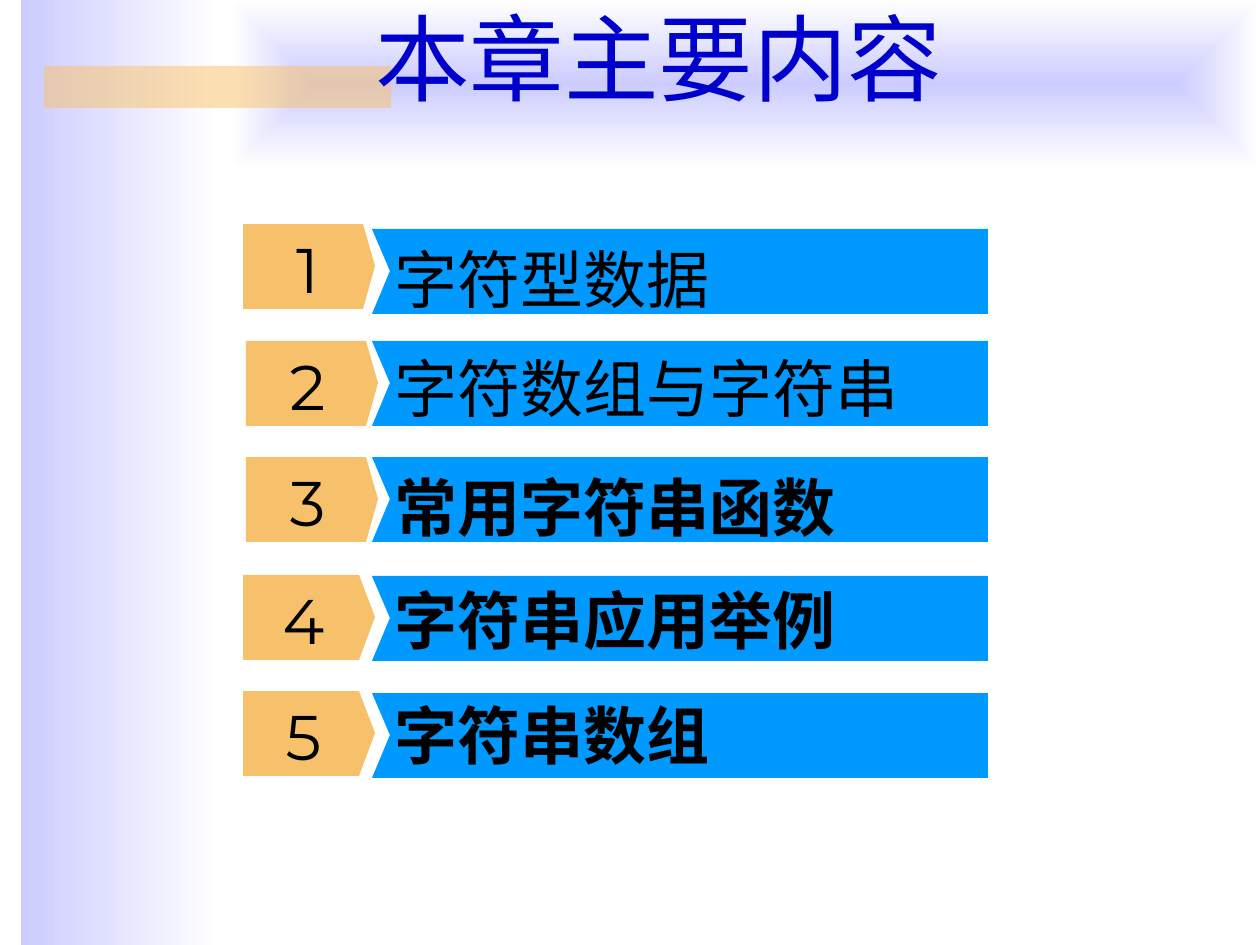
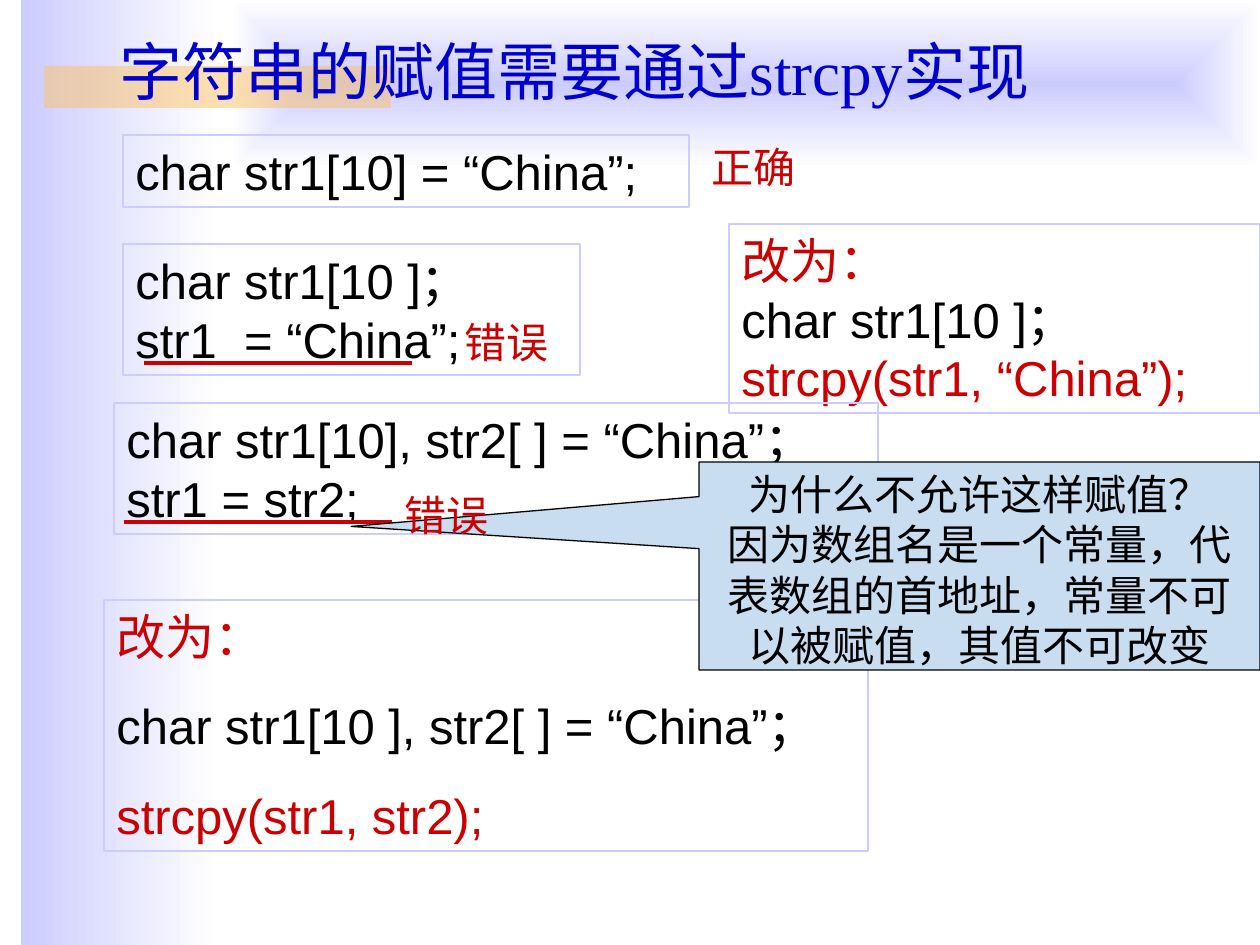
from collections import namedtuple
from dataclasses import dataclass

import pptx
import pptx.dml.color
import pptx.enum.shapes
import pptx.enum.text
import pptx.oxml
import pptx.oxml.ns
import pptx.util
from lxml import etree

EMU_PER_PX = 914400 / 126
ANCHOR = pptx.enum.text.MSO_ANCHOR
ALIGN = pptx.enum.text.PP_ALIGN
AUTO_SIZE = pptx.enum.text.MSO_AUTO_SIZE
SHAPE = pptx.enum.shapes.MSO_SHAPE
qn = pptx.oxml.ns.qn


@dataclass(frozen=True)
class Theme:
    lavender: str = "CCCCFF"
    white: str = "FFFFFF"
    accent: str = "FAC164"
    title: str = "0000CC"
    bar: str = "0099FF"
    badge: str = "F6C16A"
    ink: str = "000000"
    red: str = "CC0000"
    callout: str = "C9DDF1"
    chapter_size: int = 54
    heading_size: int = 36
    code_size: int = 28
    note_size: int = 24
    serif: str = "Times New Roman"
    sans: str = "Arial"
    digits: str = "Montserrat"
    chinese: str = "Noto Sans CJK SC"


THEME = Theme()
Style = namedtuple("Style", "size font bold align space_before",
                   defaults=(False, ALIGN.LEFT, 0))
Topic = namedtuple("Topic", "label font bold badge_left badge_top shoulder "
                            "bar_top label_top label_height", defaults=(88,))

TOPICS = [
    Topic("字符型数据", THEME.serif, False, 243, 224, 120, 229, 234, 164),
    Topic("字符数组与字符串", THEME.serif, False, 246, 341, 120, 341, 343),
    Topic("常用字符串函数", THEME.sans, True, 246, 457, 120, 457, 462),
    Topic("字符串应用举例", THEME.sans, True, 243, 575, 116, 576, 575),
    Topic("字符串数组", THEME.sans, True, 243, 691, 116, 693, 690),
]
ROW_HEIGHT = 85


def px(*lengths):
    return [pptx.util.Emu(round(length * EMU_PER_PX)) for length in lengths]


def rgb(color):
    return pptx.dml.color.RGBColor.from_string(color)


def make_plain(shape, fill=None, line=None):
    """Drop the theme look of a shape and give it its own fill and line."""
    shape.shadow.inherit = False
    style = shape.element.find(qn("p:style"))
    if style is not None:
        shape.element.remove(style)
    if fill:
        shape.fill.solid()
        shape.fill.fore_color.rgb = rgb(fill)
    else:
        shape.fill.background()
    if line:
        shape.line.color.rgb = rgb(line)
        shape.line.width = pptx.util.Pt(0.75)
    else:
        shape.line.fill.background()
    return shape


def add_block(slide, box, fill=None, line=None, kind=SHAPE.RECTANGLE):
    return make_plain(slide.shapes.add_shape(kind, *px(*box)), fill, line)


def add_outline(slide, points, fill):
    builder = slide.shapes.build_freeform(*points[0], scale=EMU_PER_PX)
    builder.add_line_segments(points[1:], close=True)
    return make_plain(builder.convert_to_shape(), fill)


def write(shape, paragraphs, style, anchor=ANCHOR.TOP, auto_size=AUTO_SIZE.NONE):
    """Write paragraphs, each a list of (text, colour) runs."""
    frame = shape.text_frame
    frame.word_wrap = True
    frame.auto_size = auto_size
    frame.vertical_anchor = anchor
    for index, runs in enumerate(paragraphs):
        paragraph = frame.add_paragraph() if index else frame.paragraphs[0]
        paragraph.alignment = style.align
        paragraph.space_before = pptx.util.Pt(style.space_before if index else 0)
        font = paragraph.font
        font.size = pptx.util.Pt(style.size)
        font.bold = style.bold
        font.name = style.font
        base_color = runs[0][1]
        font.color.rgb = rgb(base_color)
        east_asian = etree.SubElement(font._rPr, qn("a:ea"))
        east_asian.set("typeface", THEME.chinese)
        for text, color in runs:
            run = paragraph.add_run()
            run.text = text
            if color != base_color:
                run.font.color.rgb = rgb(color)


def add_text(slide, box, text, color, style):
    shape = slide.shapes.add_textbox(*px(*box))
    write(shape, [[(text, color)]], style, auto_size=AUTO_SIZE.SHAPE_TO_FIT_TEXT)


def add_code_box(slide, box, paragraphs, space_before=0):
    style = Style(THEME.code_size, THEME.sans, space_before=space_before)
    write(add_block(slide, box, line=THEME.lavender), paragraphs, style,
          auto_size=AUTO_SIZE.SHAPE_TO_FIT_TEXT)


def add_verdict(slide, left, top, text):
    add_text(slide, (left, top, 149, 63), text, THEME.red,
             Style(THEME.note_size, THEME.sans))


def add_underline(slide, left, top):
    ends = px(left, top, left + 268, top)
    line = slide.shapes.add_connector(pptx.enum.shapes.MSO_CONNECTOR.STRAIGHT, *ends)
    line.line.color.rgb = rgb(THEME.red)
    line.line.width = pptx.util.Pt(2.25)
    etree.SubElement(line.element.spPr, qn("a:effectLst"))


def set_title(slide, box, text, style):
    title = slide.shapes.title
    title.left, title.top, title.width, title.height = px(*box)
    write(title, [[(text, THEME.title)]], style, ANCHOR.BOTTOM)


def fill_with_fade(shape):
    shape.fill.gradient()
    shape.fill.gradient_angle = 0
    for stop, color, position in zip(shape.fill.gradient_stops,
                                     (THEME.lavender, THEME.white), (0, 1)):
        stop.color.rgb = rgb(color)
        stop.position = position


def spread_from_centre(shape):
    gradient = shape.element.spPr.find(qn("a:gradFill"))
    gradient.remove(gradient.find(qn("a:lin")))
    radiation = etree.Element(qn("a:path"), path="rect")
    etree.SubElement(radiation, qn("a:fillToRect"),
                     {side: "50000" for side in "ltrb"})
    gradient.find(qn("a:gsLst")).addnext(radiation)


def add_bands_to_master(presentation, slide):
    """Draw the shared bands on a slide, then move them to the back of the master."""
    side = add_block(slide, (21, 0, 199, 945))
    fill_with_fade(side)
    top = add_block(slide, (231, 0, 1029, 168))
    fill_with_fade(top)
    spread_from_centre(top)
    accent = add_block(slide, (44, 66, 347, 42), THEME.accent)
    color = accent.element.spPr.find(qn("a:solidFill"))[0]
    etree.SubElement(color, qn("a:alpha"), val="50000")
    tree = presentation.slide_master.shapes.element
    for index, band in enumerate((side, top, accent)):
        tree.insert(2 + index, band.element)


def add_number(slide, box, number):
    shape = slide.shapes.add_textbox(*px(*box))
    frame = shape.text_frame
    frame.margin_left = frame.margin_right = 0
    frame.margin_top = frame.margin_bottom = 0
    write(shape, [[(str(number), THEME.ink)]],
          Style(THEME.heading_size, THEME.digits, align=ALIGN.CENTER), ANCHOR.MIDDLE)
    effects = etree.Element(qn("a:effectLst"))
    shadow = etree.SubElement(effects, qn("a:outerShdw"),
                              dist="17961", dir="2700000")
    etree.SubElement(shadow, qn("a:srgbClr"), val=THEME.white)
    frame.paragraphs[0].font._rPr.find(qn("a:latin")).addprevious(effects)


def add_topic(slide, number, topic):
    left, top = topic.badge_left, topic.badge_top
    bottom, tip = top + ROW_HEIGHT, left + 132
    add_outline(slide, [(left, top), (left + topic.shoulder, top),
                        (tip, top + ROW_HEIGHT // 2),
                        (left + topic.shoulder, bottom), (left, bottom)], THEME.badge)
    top, bottom = topic.bar_top, topic.bar_top + ROW_HEIGHT
    add_outline(slide, [(372, top), (390, top + ROW_HEIGHT // 2), (372, bottom),
                        (988, bottom), (988, top)], THEME.bar)
    number_width = 105 if topic.shoulder == 120 else 97
    add_number(slide, (255, topic.badge_top + 2, number_width, ROW_HEIGHT), number)
    add_text(slide, (382, topic.label_top, 594, topic.label_height), topic.label,
             THEME.ink, Style(THEME.heading_size, topic.font, topic.bold))


def build_contents(slide):
    set_title(slide, (155, 29, 1007, 91), "本章主要内容",
              Style(THEME.chapter_size, THEME.chinese, align=ALIGN.CENTER))
    for number, topic in enumerate(TOPICS, 1):
        add_topic(slide, number, topic)


def build_assignment(slide):
    ink, red = THEME.ink, THEME.red
    set_title(slide, (107, 35, 1134, 79), "字符串的赋值需要通过strcpy实现",
              Style(THEME.heading_size, THEME.serif))
    add_code_box(slide, (123, 135, 566, 72), [[("char str1[10] = “China”;", ink)]])
    add_verdict(slide, 699, 135, "正确")
    add_code_box(slide, (123, 244, 457, 131),
                 [[("char str1[10 ]；", ink)], [("str1  = “China”;", ink)]])
    add_verdict(slide, 452, 310, "错误")
    add_code_box(slide, (729, 224, 531, 189),
                 [[("改为：", red)],
                  [("char str1[10 ]；", ink), ("strcpy(str1, “China”);", red)]])
    add_code_box(slide, (114, 403, 764, 131),
                 [[("char str1[10], str2[ ] = “China”；", ink)],
                  [("str1 = str2;", ink)]])
    add_code_box(slide, (104, 600, 764, 251),
                 [[("改为：", red)],
                  [("char str1[10 ], str2[ ] = “China”；", ink)],
                  [("strcpy(str1, str2);", red)]], space_before=17.5)
    add_underline(slide, 144, 363)
    add_underline(slide, 124, 522)
    callout = add_block(slide, (699, 462, 561, 208), THEME.callout, ink,
                        SHAPE.RECTANGULAR_CALLOUT)
    callout.adjustments[0], callout.adjustments[1] = -1.12, -0.19
    write(callout, [[("为什么不允许这样赋值？", ink)],
                    [("因为数组名是一个常量，代表数组的首地址，常量不可以被赋值，其值不可改变", ink)]],
          Style(THEME.note_size, THEME.serif, align=ALIGN.CENTER))
    add_verdict(slide, 392, 483, "错误")


def main():
    presentation = pptx.Presentation()
    presentation.slide_width, presentation.slide_height = px(1260, 945)
    title_only = presentation.slide_layouts[5]
    contents, assignment = [presentation.slides.add_slide(title_only) for _ in range(2)]
    add_bands_to_master(presentation, contents)
    build_contents(contents)
    build_assignment(assignment)
    presentation.save("out.pptx")


if __name__ == "__main__":
    main()
